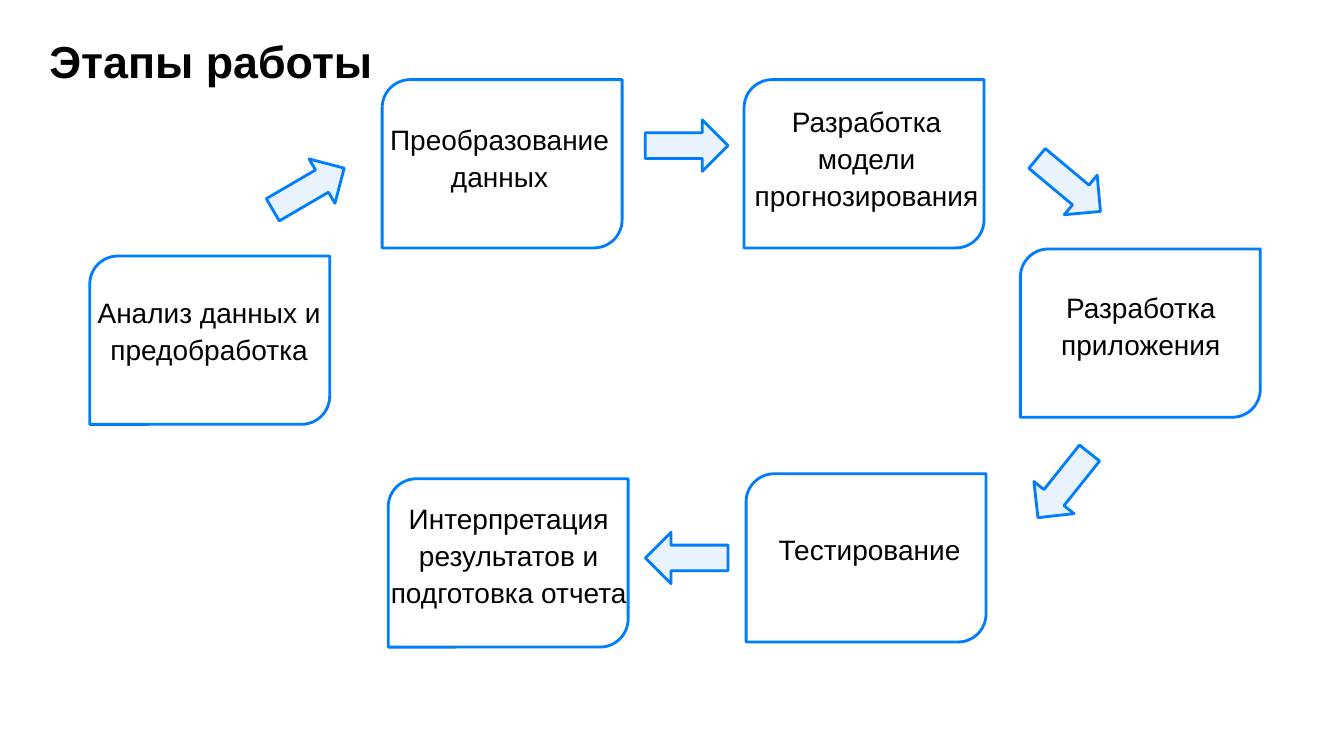
import pptx
import pptx.util
import pptx.dml.color
import pptx.enum.shapes
import pptx.enum.text

Inches = pptx.util.Inches
Pt = pptx.util.Pt
RGBColor = pptx.dml.color.RGBColor
MSO_SHAPE = pptx.enum.shapes.MSO_SHAPE
PP_ALIGN = pptx.enum.text.PP_ALIGN

BLUE = RGBColor(0x00, 0x7D, 0xFF)
PALE_BLUE = RGBColor(0xE8, 0xF3, 0xFE)
WHITE = RGBColor(0xFF, 0xFF, 0xFF)
BLACK = RGBColor(0x00, 0x00, 0x00)

CARD_WIDTH, CARD_HEIGHT = 2.38, 1.67
ARROW_WIDTH, ARROW_HEIGHT = 0.82, 0.51

presentation = pptx.Presentation()
presentation.slide_width = Inches(13.33)
presentation.slide_height = Inches(7.5)
slide = presentation.slides.add_slide(presentation.slide_layouts[6])


def add_outlined(kind, left, top, width, height, fill):
    shape = slide.shapes.add_shape(
        kind, Inches(left), Inches(top), Inches(width), Inches(height))
    shape.shadow.inherit = False
    shape.fill.solid()
    shape.fill.fore_color.rgb = fill
    shape.line.color.rgb = BLUE
    shape.line.width = Pt(2)
    return shape


def add_text(text, left, top, width, height, inset, size, spacing):
    box = slide.shapes.add_textbox(
        Inches(left), Inches(top), Inches(width), Inches(height))
    frame = box.text_frame
    frame.word_wrap = True
    frame.margin_left = frame.margin_right = Inches(inset)
    frame.margin_top = frame.margin_bottom = Inches(inset)
    frame.text = text
    paragraph = frame.paragraphs[0]
    paragraph.line_spacing = spacing
    font = paragraph.runs[0].font
    font.name = "Arial"
    font.size = Pt(size)
    font.color.rgb = BLACK
    return frame


# Title
title = add_text("Этапы работы", 0.49, 0.39, 12.36, 0.71, 0, 32, 0.9)
title.paragraphs[0].runs[0].font.bold = True

# Stages: card position, then label box
stages = [
    ("Анализ данных и предобработка", (0.89, 2.54), (0.86, 2.79, 2.43, 0.96)),
    ("Преобразование данных", (3.79, 0.79), (3.74, 1.07, 2.43, 0.96)),
    ("Разработка модели прогнозирования", (7.38, 0.79), (7.38, 0.88, 2.43, 1.34)),
    ("Разработка приложения", (10.12, 2.47), (10.1, 2.74, 2.43, 0.96)),
    ("Тестирование", (7.4, 4.7), (7.41, 5.14, 2.43, 0.59)),
    ("Интерпретация результатов и подготовка отчета", (3.85, 4.75),
     (3.74, 4.82, 2.61, 1.34)),
]
for stage, card_position, label_box in stages:
    add_outlined(MSO_SHAPE.ROUND_2_DIAG_RECTANGLE, *card_position,
                 CARD_WIDTH, CARD_HEIGHT, WHITE)
    label = add_text(stage, *label_box, 0.06, 20, 1.1)
    label.vertical_anchor = pptx.enum.text.MSO_ANCHOR.MIDDLE
    label.auto_size = pptx.enum.text.MSO_AUTO_SIZE.SHAPE_TO_FIT_TEXT
    label.paragraphs[0].alignment = PP_ALIGN.CENTER

# Arrows from stage to stage: left, top, rotation
transitions = [
    (2.65, 1.62, 329.7),
    (6.4, 1.19, 0),
    (10.19, 1.58, 39.9),
    (10.14, 4.56, 128.6),
    (6.4, 5.28, 180),
]
for left, top, rotation in transitions:
    arrow = add_outlined(MSO_SHAPE.RIGHT_ARROW, left, top,
                         ARROW_WIDTH, ARROW_HEIGHT, PALE_BLUE)
    arrow.rotation = rotation

presentation.save("out.pptx")
